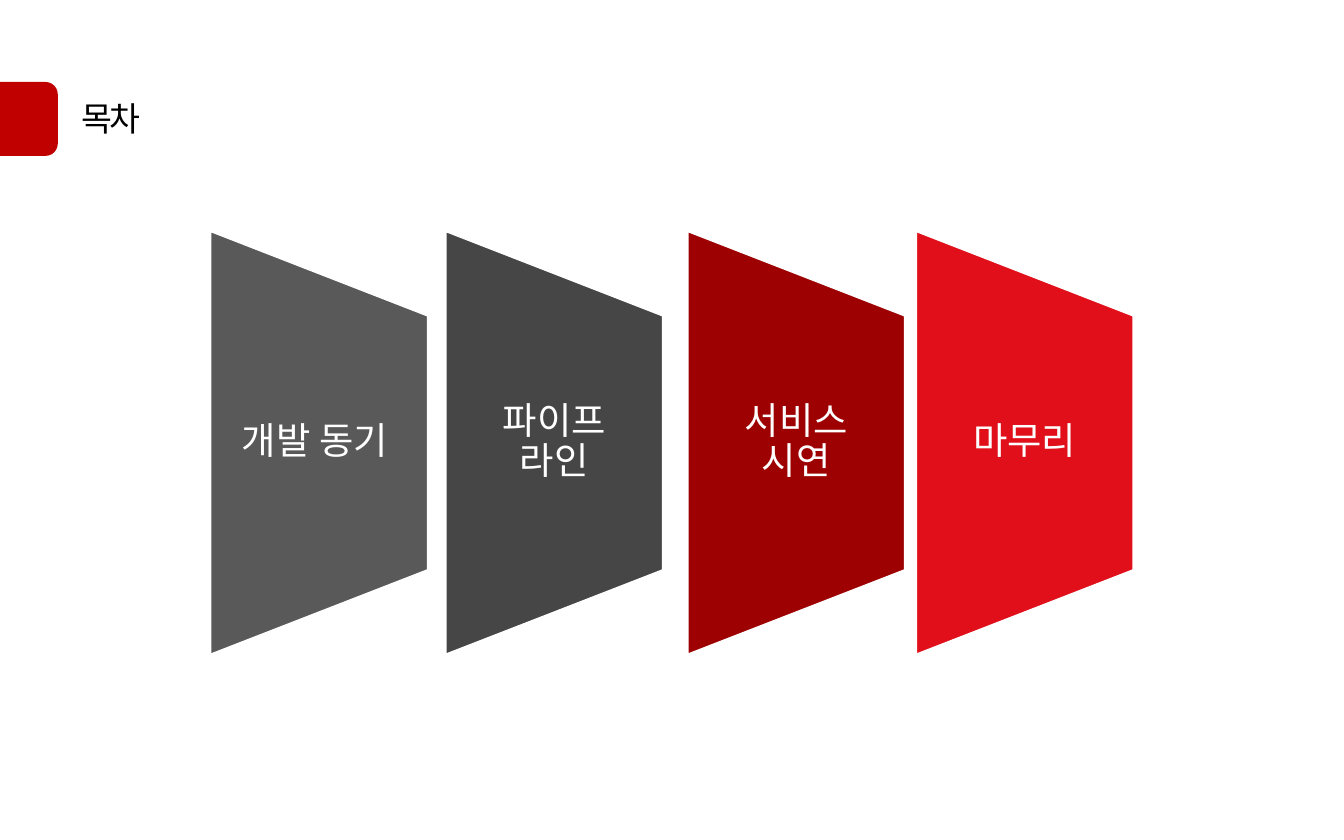
"""Build the contents slide with four tapered chapter panels."""
from lxml.etree import SubElement
from pptx import Presentation
from pptx.dml.color import RGBColor
from pptx.enum.shapes import MSO_SHAPE
from pptx.enum.text import MSO_ANCHOR, MSO_AUTO_SIZE, PP_ALIGN
from pptx.oxml.ns import qn
from pptx.util import Pt

PX = 9144
FONT = "Noto Sans CJK KR"
HUES = {
    "white": "FFFFFF", "black": "000000", "mark": "C00000",
    "gray": "595959", "dark": "464646", "wine": "9D0101", "red": "E00F1A",
}


def box(*nums):
    return [num * PX for num in nums]


def style(para, size, hue):
    font = para.font
    font.size = Pt(size)
    font.color.rgb = RGBColor.from_string(HUES[hue])
    font.name = FONT
    props = para._p.pPr.find(qn("a:defRPr"))
    SubElement(props, qn("a:ea"), typeface=FONT)


deck = Presentation()
deck.slide_width, deck.slide_height = box(1000, 625)
slide = deck.slides.add_slide(deck.slide_layouts[6])
shapes = slide.shapes

title = shapes.add_textbox(*box(51, 68, 228, 40))
frame = title.text_frame
frame.word_wrap = True
frame.auto_size = MSO_AUTO_SIZE.SHAPE_TO_FIT_TEXT
para = frame.paragraphs[0]
para.text = "목차"
style(para, 18, "black")
para.runs[0].font._element.set("spc", "-150")

mark = shapes.add_shape(MSO_SHAPE.ROUNDED_RECTANGLE, *box(-12, 61, 55, 55))
mark.shadow.inherit = False
mark.fill.solid()
mark.fill.fore_color.rgb = RGBColor.from_string(HUES["mark"])
mark.line.fill.background()

WIDE, TALL, TOP = 163, 317, 171
panels = [
    (156, "gray", "개발 동기 "),
    (331, "dark", "파이프 라인"),
    (511, "wine", "서비스 시연"),
    (681, "red", "마무리"),
]
group = shapes.add_group_shape()
for left, hue, text in panels:
    shift = (TALL - WIDE) // 2
    panel = group.shapes.add_shape(
        MSO_SHAPE.FLOWCHART_MANUAL_OPERATION,
        *box(left - shift, TOP + shift, TALL, WIDE))
    panel.rotation = 270
    panel.shadow.inherit = False
    panel.fill.solid()
    panel.fill.fore_color.rgb = RGBColor.from_string(HUES[hue])
    panel.line.color.rgb = RGBColor.from_string(HUES["white"])
    panel.line.width = Pt(2)

    label = group.shapes.add_textbox(*box(left, 234, WIDE, 190))
    frame = label.text_frame
    frame.word_wrap = True
    frame.vertical_anchor = MSO_ANCHOR.MIDDLE
    frame.margin_left = frame.margin_right = 16 * PX
    frame.margin_top = frame.margin_bottom = 0
    para = frame.paragraphs[0]
    para.text = text
    para.alignment = PP_ALIGN.CENTER
    para.line_spacing = 0.9
    style(para, 20, "white")

deck.save("out.pptx")
